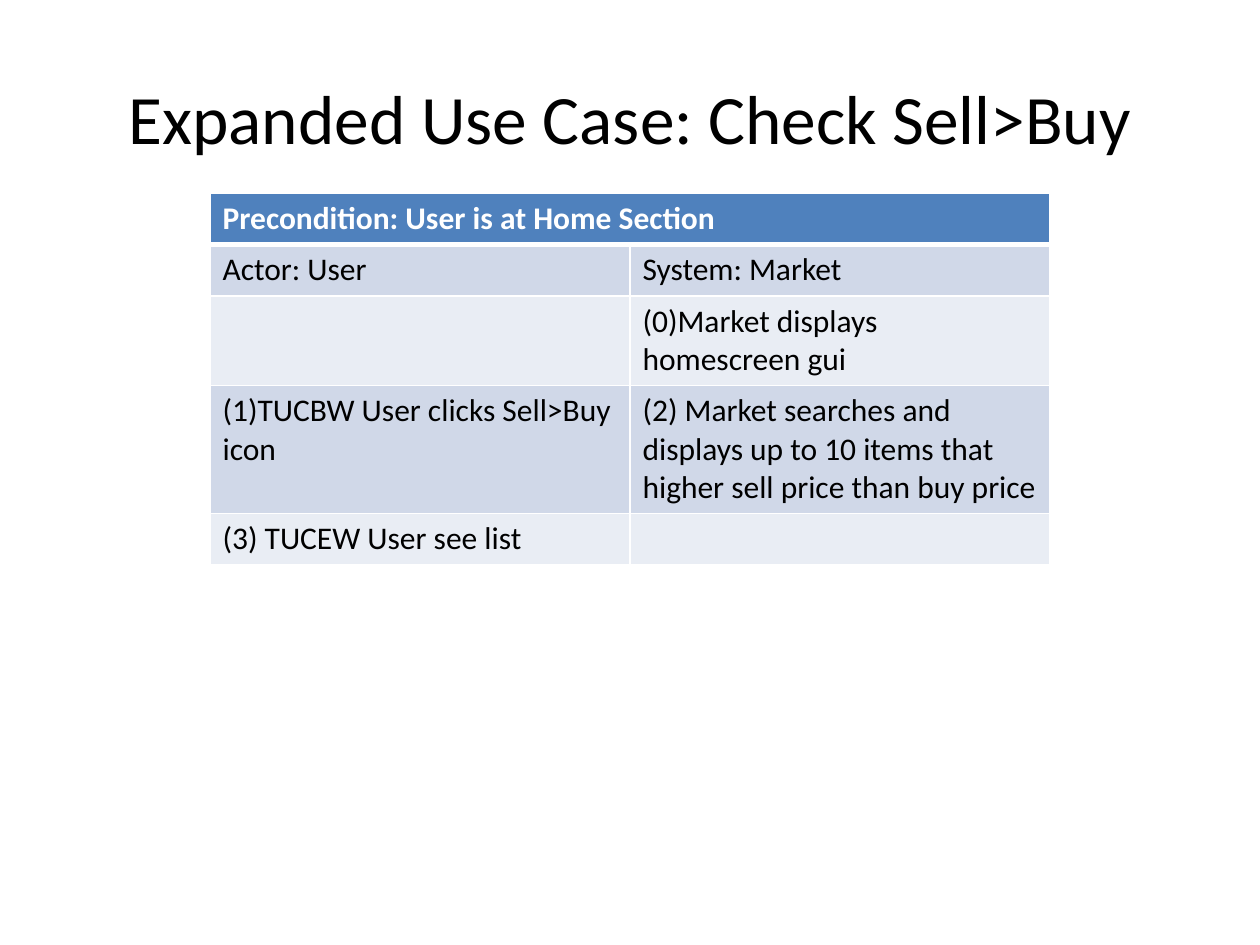
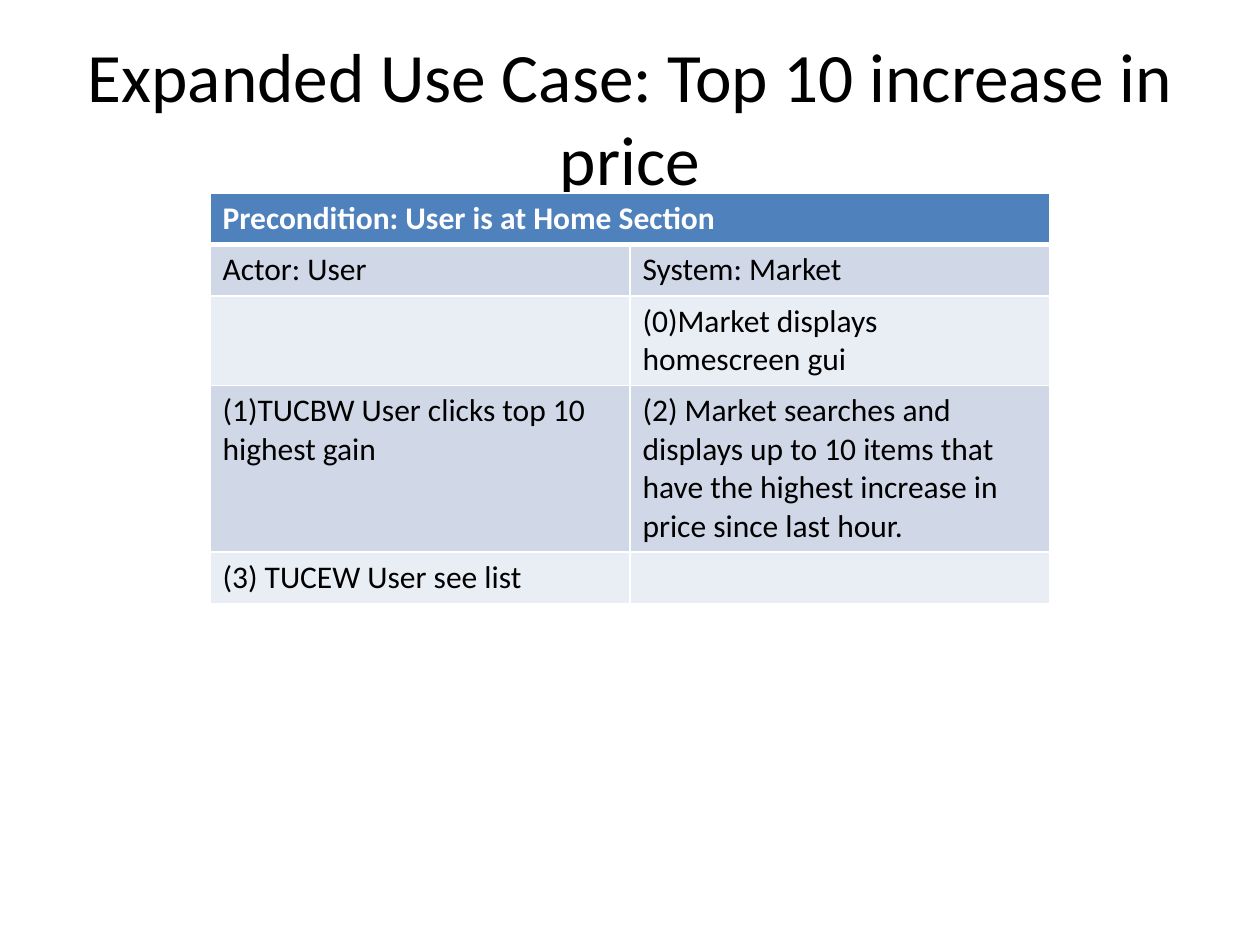
from dataclasses import dataclass

from lxml import etree
from pptx import Presentation
from pptx import util as u
from pptx.dml.color import RGBColor
from pptx.enum import text
from pptx.oxml.ns import qn


@dataclass(frozen=True)
class Theme:
    font: str = "Calibri"
    title_size: float = 39.6
    cell_size: float = 18
    ink: str = "000000"
    paper: str = "FFFFFF"
    header: str = "4F81BD"
    bands: tuple = ("E9EDF4", "D0D8E8")
    rule: float = 1
    header_rule: float = 3


THEME = Theme()
WIDTH, HEIGHT = u.Inches(10), u.Inches(7.5)
MARGIN = WIDTH // 20
TITLE_TOP, TITLE_HEIGHT = HEIGHT // 25, HEIGHT // 6
TABLE_LEFT, TABLE_TOP = WIDTH // 6, u.Inches(1.53)
ROW_HEIGHT = u.Inches(0.41)

PRECONDITION = "Precondition: User is at Home Section"
USE_CASES = [
    ("Check Sell>Buy",
     "(1)TUCBW User clicks Sell>Buy icon",
     "(2) Market searches and displays up to 10 items that higher sell price "
     "than buy price"),
    ("Top 10 increase in price",
     "(1)TUCBW User clicks top 10 highest gain",
     "(2) Market searches and displays up to 10 items that have the highest "
     "increase in price since last hour."),
]


def style_runs(tf, size, color, bold=False):
    for p in tf.paragraphs:
        for r in p.runs:
            r.font.name = THEME.font
            r.font.size = u.Pt(size)
            r.font.bold = bold
            r.font.color.rgb = RGBColor.from_string(color)


def add_title(s, wording):
    sp = s.shapes.title
    sp.left, sp.top = MARGIN, TITLE_TOP
    sp.width, sp.height = WIDTH - 2 * MARGIN, TITLE_HEIGHT
    tf = sp.text_frame
    tf.text = wording
    tf.auto_size = text.MSO_AUTO_SIZE.NONE
    tf.word_wrap = True
    tf.vertical_anchor = text.MSO_ANCHOR.MIDDLE
    tf.paragraphs[0].alignment = text.PP_ALIGN.CENTER
    style_runs(tf, THEME.title_size, THEME.ink)


def set_borders(cell, top, bottom):
    """Rule all four sides; the schema wants the lines ahead of the fill."""
    tc_pr = cell._tc.get_or_add_tcPr()
    sides = {"lnL": THEME.rule, "lnR": THEME.rule, "lnT": top, "lnB": bottom}
    for i, (side, points) in enumerate(sides.items()):
        ln = etree.Element(qn(f"a:{side}"), w=str(u.Pt(points)))
        fill = etree.SubElement(ln, qn("a:solidFill"))
        etree.SubElement(fill, qn("a:srgbClr"), val=THEME.paper)
        tc_pr.insert(i, ln)


def style_cell(cell, row):
    is_header = row == 0
    cell.fill.solid()
    cell.fill.fore_color.rgb = RGBColor.from_string(
        THEME.header if is_header else THEME.bands[row % 2])
    set_borders(cell,
                top=THEME.header_rule if row == 1 else THEME.rule,
                bottom=THEME.header_rule if is_header else THEME.rule)
    style_runs(cell.text_frame, THEME.cell_size,
               THEME.paper if is_header else THEME.ink, bold=is_header)


def add_dialogue_table(s, rows):
    """Actor and system columns under a header that spans both."""
    table = s.shapes.add_table(
        len(rows), 2, TABLE_LEFT, TABLE_TOP,
        WIDTH - 2 * TABLE_LEFT, ROW_HEIGHT * len(rows)).table
    table.cell(0, 0).merge(table.cell(0, 1))
    for i, row in enumerate(rows):
        for j, wording in enumerate(row):
            cell = table.cell(i, j)
            if wording:
                cell.text_frame.text = wording
            style_cell(cell, i)


def add_use_case(prs, name, user_action, market_response):
    s = prs.slides.add_slide(prs.slide_layouts.get_by_name("Title Only"))
    add_title(s, f"Expanded Use Case: {name}")
    add_dialogue_table(s, [
        (PRECONDITION, ""),
        ("Actor: User", "System: Market"),
        ("", "(0)Market displays homescreen gui"),
        (user_action, market_response),
        ("(3) TUCEW User see list", ""),
    ])


def main():
    prs = Presentation()
    prs.slide_width, prs.slide_height = WIDTH, HEIGHT
    for use_case in USE_CASES:
        add_use_case(prs, *use_case)
    prs.save("out.pptx")


if __name__ == "__main__":
    main()
